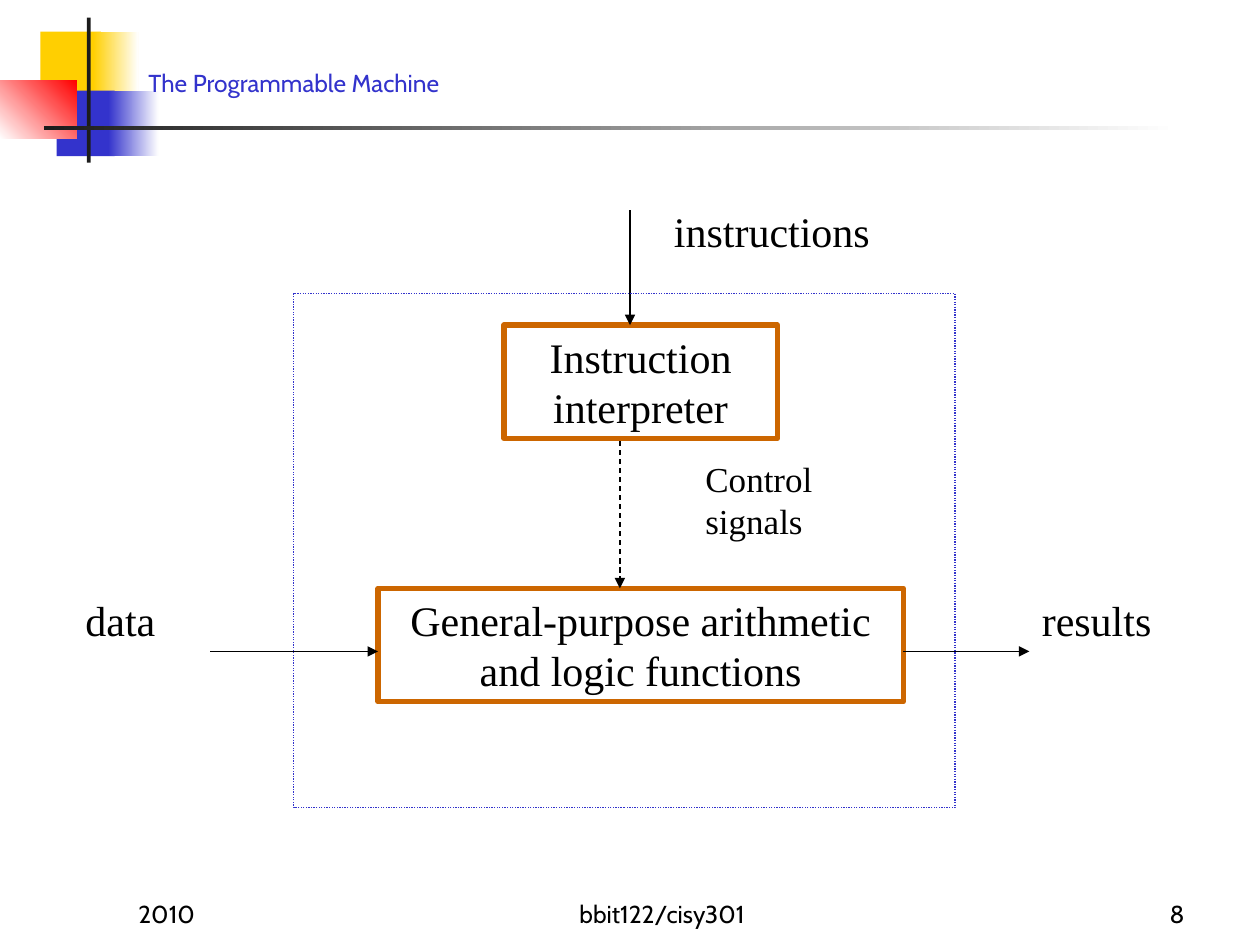
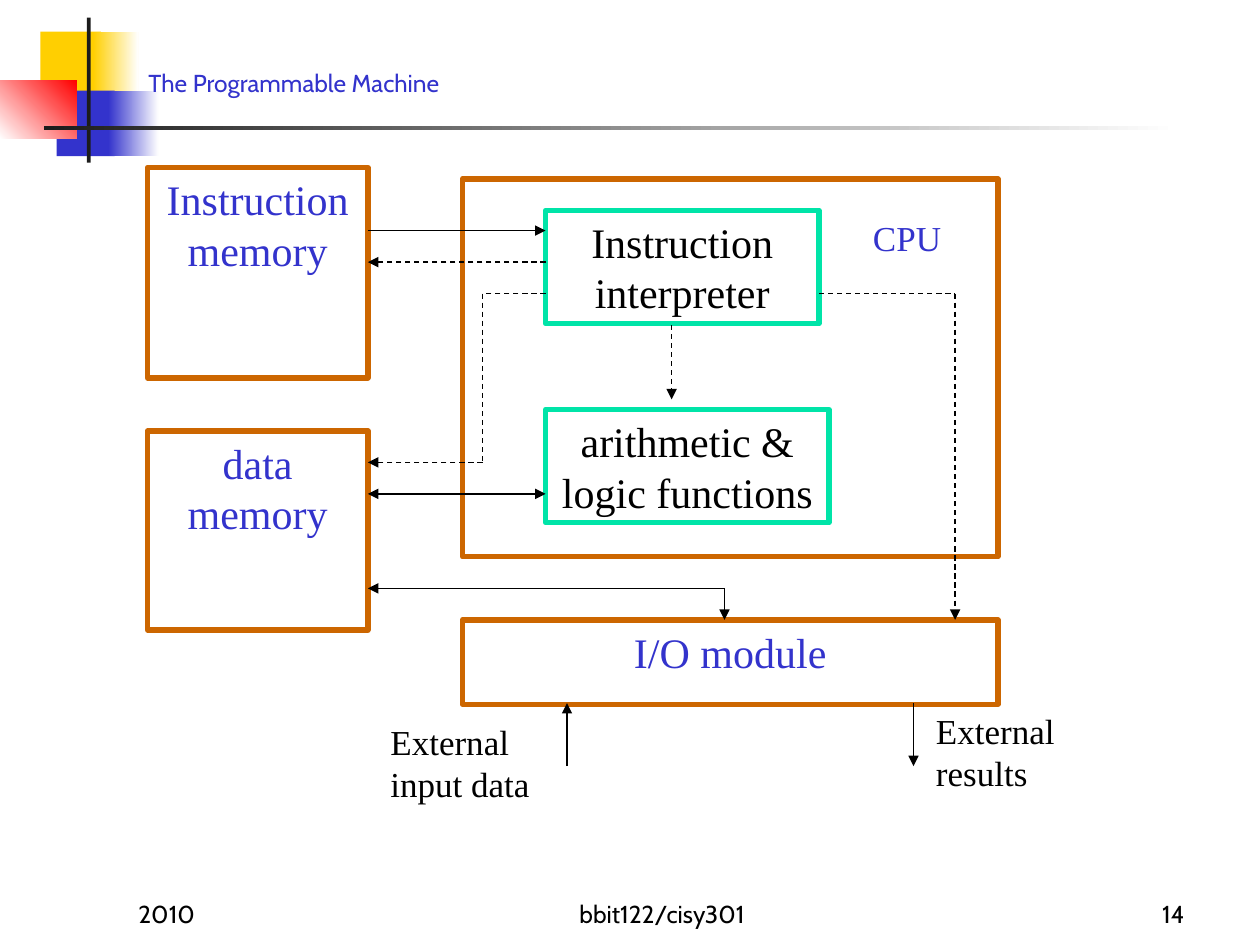
from lxml import etree
from pptx import Presentation
from pptx import util as u
from pptx.dml.color import RGBColor
from pptx.enum import dml, shapes, text
from pptx.oxml import ns

COLORS = {
    "yellow": "FFCF01", "blue": "3333CC", "red": "FF0000", "white": "FFFFFF",
    "charcoal": "1C1C1C", "black": "000000", "orange": "CC6600", "green": "00E4A8",
}
TITLE_FONT, DIAGRAM_FONT = "Cabin", "Times New Roman"
LEFT, CENTER, RIGHT = text.PP_ALIGN.LEFT, text.PP_ALIGN.CENTER, text.PP_ALIGN.RIGHT
TOP, BOTTOM = text.MSO_ANCHOR.TOP, text.MSO_ANCHOR.BOTTOM
DASH, DOT = dml.MSO_LINE.DASH, dml.MSO_LINE.ROUND_DOT

TITLE = "The Programmable Machine"
TITLE_AREA = (1.08, 0.4, 7.08, 0.42)
DATE, COURSE = "2010", "bbit122/cisy301"
FOOTER_AREAS = [
    ((1, 6.92, 2.08, 0.5), LEFT),
    ((3.67, 6.92, 3.17, 0.5), CENTER),
    ((7.42, 6.92, 2.08, 0.5), RIGHT),
]
BANDS = [
    ((0.32, 0.25, 0.48, 0.52), ("yellow",), 0),
    ((0.74, 0.25, 0.36, 0.52), ("yellow", "white"), 0),
    ((0.45, 0.72, 0.46, 0.52), ("blue",), 0),
    ((0.86, 0.72, 0.4, 0.52), ("blue", "white"), 0),
    ((0, 0.64, 0.61, 0.46), ("white", "red"), 45),
    ((0.69, 0.14, 0.03, 1.15), ("charcoal",), 0),
    ((0.35, 1, 9, 0.03), ("charcoal", "white"), 0),
]

DIAGRAMS = [
    {
        "number": "8",
        "boxes": [
            ("Instruction interpreter", (4, 2.58, 2.17, 0.9), "orange", "black"),
            ("General-purpose arithmetic and logic functions",
             (3, 4.67, 4.17, 0.9), "orange", "black"),
        ],
        "machine_border": (2.33, 2.33, 5.25, 4.08),
        "labels": [
            ("instructions", (5.25, 1.58, 2.58, 0.5), 24, "black"),
            ("data", (0.58, 4.67, 1.5, 0.5), 24, "black"),
            ("results", (8.17, 4.67, 1.58, 0.5), 24, "black"),
            ("Control signals", (5.5, 3.58, 1.5, 0.77), 20, "black"),
        ],
        "data_paths": [
            ([(5, 1.67), (5, 2.58)], False),
            ([(1.67, 5.17), (3, 5.17)], False),
            ([(7.17, 5.17), (8.17, 5.17)], False),
        ],
        "control_paths": [[(4.92, 3.5), (4.92, 4.67)]],
    },
    {
        "number": "14",
        "boxes": [
            ("Instruction interpreter", (4.33, 1.67, 2.17, 0.9), "green", "black"),
            ("arithmetic & logic functions", (4.33, 3.25, 2.25, 0.9), "green", "black"),
            ("", (3.67, 1.42, 4.25, 3), "orange", "blue"),
            ("Instruction memory", (1.17, 1.33, 1.75, 1.67), "orange", "blue"),
            ("data memory", (1.17, 3.42, 1.75, 1.58), "orange", "blue"),
            ("I/O module", (3.67, 4.92, 4.25, 0.67), "orange", "blue"),
        ],
        "machine_border": None,
        "labels": [
            ("External input data", (3, 5.67, 1.42, 0.77), 20, "black"),
            ("External results", (7.33, 5.58, 1.25, 0.77), 20, "black"),
            ("CPU", (6.83, 1.67, 1, 0.44), 20, "blue"),
        ],
        "data_paths": [
            ([(2.92, 1.83), (4.33, 1.83)], False),
            ([(7.25, 5.58), (7.25, 6.08)], False),
            ([(4.5, 6.08), (4.5, 5.58)], False),
            ([(2.92, 4.67), (5.75, 4.67), (5.75, 4.92)], True),
            ([(2.92, 3.92), (4.33, 3.92)], True),
        ],
        "control_paths": [
            [(5.33, 2.58), (5.33, 3.17)],
            [(4.33, 2.08), (2.92, 2.08)],
            [(4.33, 2.33), (3.83, 2.33), (3.83, 3.67), (2.92, 3.67)],
            [(6.5, 2.33), (7.58, 2.33), (7.58, 4.92)],
        ],
    },
]


def rgb(name):
    return RGBColor.from_string(COLORS[name])


def inches(values):
    return [u.Inches(value) for value in values]


def write(shape, content, size, color, font=DIAGRAM_FONT, align=LEFT, anchor=TOP):
    frame = shape.text_frame
    frame.word_wrap = True
    frame.vertical_anchor = anchor
    frame.text = content
    paragraph = frame.paragraphs[0]
    paragraph.alignment = align
    for run in paragraph.runs:
        run.font.name = font
        run.font.size = u.Pt(size)
        run.font.color.rgb = rgb(color)


def add_text(slide, content, area, size, color, **style):
    write(slide.shapes.add_textbox(*inches(area)), content, size, color, **style)


def add_rectangle(slide, area):
    shape = slide.shapes.add_shape(shapes.MSO_SHAPE.RECTANGLE, *inches(area))
    shape.shadow.inherit = False
    return shape


def add_band(slide, area, colors, angle):
    band = add_rectangle(slide, area)
    band.line.fill.background()
    if len(colors) == 1:
        band.fill.solid()
        band.fill.fore_color.rgb = rgb(colors[0])
        return
    band.fill.gradient()
    band.fill.gradient_angle = angle
    for position, (stop, color) in enumerate(zip(band.fill.gradient_stops, colors)):
        stop.position = position
        stop.color.rgb = rgb(color)


def style_line(line, color, width, dash=None):
    line.color.rgb = rgb(color)
    line.width = u.Pt(width)
    if dash:
        line.dash_style = dash


def add_outline(slide, area, color, width=3, dash=None):
    outline = add_rectangle(slide, area)
    outline.fill.background()
    style_line(outline.line, color, width, dash)
    return outline


def add_path(slide, points, dash=None, both_ends=False):
    last = len(points) - 2
    for index, (start, end) in enumerate(zip(points, points[1:])):
        connector = slide.shapes.add_connector(
            shapes.MSO_CONNECTOR.STRAIGHT, *inches(start + end))
        style_line(connector.line, "black", 0.75, dash)
        line = connector.line._get_or_add_ln()
        if both_ends and index == 0:
            etree.SubElement(line, ns.qn("a:headEnd"), type="triangle")
        if index == last:
            etree.SubElement(line, ns.qn("a:tailEnd"), type="triangle")
        etree.SubElement(connector._element.spPr, ns.qn("a:effectLst"))


def add_frame(slide, number):
    for band in BANDS:
        add_band(slide, *band)
    for content, (area, align) in zip((DATE, COURSE, number), FOOTER_AREAS):
        add_text(slide, content, area, 14, "black",
                 font=TITLE_FONT, align=align, anchor=BOTTOM)
    add_text(slide, TITLE, TITLE_AREA, 14, "blue", font=TITLE_FONT, anchor=BOTTOM)


def add_diagram(slide, diagram):
    for content, area, border, color in diagram["boxes"]:
        box = add_outline(slide, area, border)
        if content:
            write(box, content, 24, color, align=CENTER)
    for label in diagram["labels"]:
        add_text(slide, *label)
    for points, both_ends in diagram["data_paths"]:
        add_path(slide, points, both_ends=both_ends)
    for points in diagram["control_paths"]:
        add_path(slide, points, DASH)
    if diagram["machine_border"]:
        add_outline(slide, diagram["machine_border"], "blue", 0.75, DOT)


def main():
    presentation = Presentation()
    presentation.slide_width, presentation.slide_height = inches((10, 7.5))
    for diagram in DIAGRAMS:
        slide = presentation.slides.add_slide(presentation.slide_layouts[6])
        add_frame(slide, diagram["number"])
        add_diagram(slide, diagram)
    presentation.save("out.pptx")


if __name__ == "__main__":
    main()
